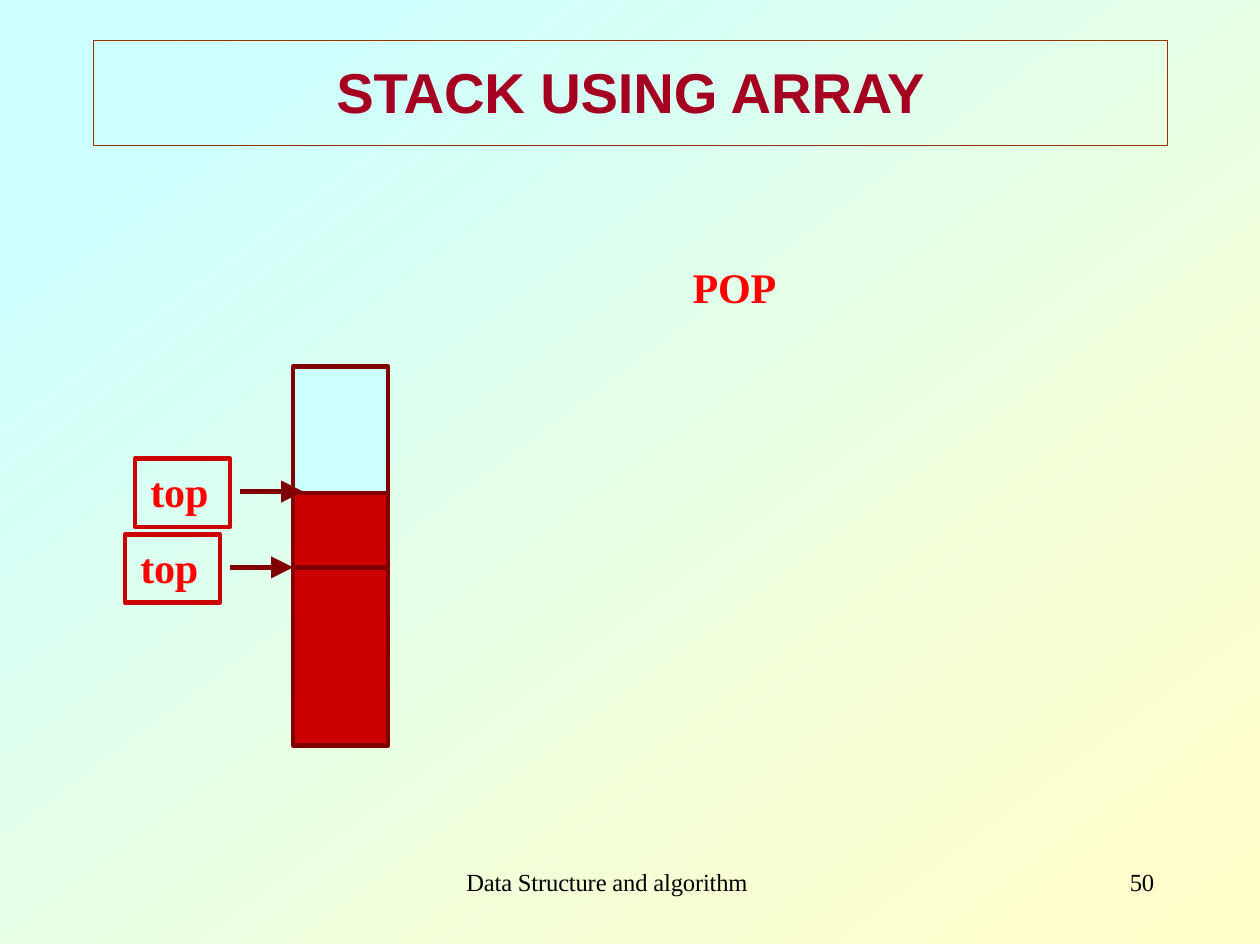
from itertools import pairwise
from math import cos, pi

from lxml.etree import SubElement
from pptx import Presentation
from pptx.dml.color import RGBColor
from pptx.enum.shapes import MSO_CONNECTOR, MSO_SHAPE
from pptx.enum.text import MSO_ANCHOR, PP_ALIGN
from pptx.oxml.ns import qn
from pptx.util import Inches, Pt

WIDTH, HEIGHT = 9.97, 7.47
SERIF = "Times New Roman"
MAROON, RED, BRIGHT_RED = "800000", "CC0000", "FF0000"
STACK_LEFT, CELL_WIDTH = 2.32, 0.75
FULL_TOP, POPPED_TOP = 4.49, 3.9
BAND_STEP = 1 / 25.92


def color(value):
    return RGBColor.from_string(value)


def diagonal(part):
    """Ends of the diagonal line at part 0 (top left) to 2 (bottom right)."""
    if part <= 1:
        return (WIDTH * part, 0), (0, HEIGHT * part)
    return (WIDTH, HEIGHT * (part - 1)), (WIDTH * (part - 1), HEIGHT)


def add_band(page, start, end):
    """One diagonal stripe of the cyan to yellow background."""
    near_start, near_end = diagonal(start)
    far_start, far_end = diagonal(end)
    points = [(Inches(x), Inches(y))
              for x, y in (near_start, far_start, far_end, near_end)]
    builder = page.shapes.build_freeform(*points[0])
    builder.add_line_segments(points[1:], close=True)
    band = builder.convert_to_shape()
    band.shadow.inherit = False
    band.line.fill.background()
    shift = round(51 * (1 - cos(pi * (start + end) / 4)) / 2)
    band.fill.solid()
    band.fill.fore_color.rgb = color(f"{204 + shift:02X}FF{255 - shift:02X}")


def add_background(page):
    edges = [0, *(1 + BAND_STEP * step for step in range(-23, 24)),
             1 + BAND_STEP * 25, 2]
    for start, end in pairwise(edges):
        add_band(page, start, end)


def add_rectangle(page, left, top, width, height, line, fill=None, weight=2.52):
    box = page.shapes.add_shape(MSO_SHAPE.RECTANGLE, Inches(left), Inches(top),
                                Inches(width), Inches(height))
    box.shadow.inherit = False
    box.line.color.rgb = color(line)
    box.line.width = Pt(weight)
    if fill:
        box.fill.solid()
        box.fill.fore_color.rgb = color(fill)
    else:
        box.fill.background()
    return box


def write_text(box, text, size=24, value=BRIGHT_RED, font=SERIF, bold=True,
               align=PP_ALIGN.LEFT, anchor=MSO_ANCHOR.MIDDLE, indent=0):
    frame = box.text_frame
    frame.word_wrap = True
    frame.vertical_anchor = anchor
    frame.margin_left = Inches(indent)
    frame.margin_top = frame.margin_right = 0
    frame.margin_bottom = Inches(0.03)
    para = frame.paragraphs[0]
    para.alignment = align
    span = para.add_run()
    span.text = text
    span.font.name = font
    span.font.size = Pt(size)
    span.font.bold = bold
    span.font.color.rgb = color(value)
    # Slightly tight letter spacing
    box.element.find(".//" + qn("a:rPr")).set("spc", "-10")


def add_label(page, text, left, top, width, height, **text_format):
    box = page.shapes.add_textbox(Inches(left), Inches(top),
                                  Inches(width), Inches(height))
    write_text(box, text, anchor=MSO_ANCHOR.TOP, **text_format)


def add_cell(page, top, height, fill):
    add_rectangle(page, STACK_LEFT, top, CELL_WIDTH, height, MAROON, fill)


def add_pointer(page, left, top):
    """A framed "top" label."""
    box = add_rectangle(page, left, top, 0.75, 0.54, RED)
    write_text(box, "top", indent=0.12)


def add_arrow(page, left, y, length=0.5):
    arrow = page.shapes.add_connector(MSO_CONNECTOR.STRAIGHT, Inches(left),
                                      Inches(y), Inches(left + length), Inches(y))
    arrow.line.color.rgb = color(MAROON)
    arrow.line.width = Pt(2.52)
    properties = arrow.element.spPr
    SubElement(properties.find(qn("a:ln")), qn("a:tailEnd"),
               type="triangle", w="lg", len="lg")
    SubElement(properties, qn("a:effectLst"))


def main():
    deck = Presentation()
    deck.slide_width, deck.slide_height = Inches(WIDTH), Inches(HEIGHT)
    page = deck.slides.add_slide(deck.slide_layouts[6])
    add_background(page)

    # Title
    title = add_rectangle(page, 0.74, 0.32, 8.5, 0.83, "9A3300", weight=0.72)
    write_text(title, "STACK USING ARRAY", size=32, value="A50021",
               font="Arial", align=PP_ALIGN.CENTER)

    # Stack with the old and new top
    add_cell(page, FULL_TOP, 1.41, RED)
    add_cell(page, 2.9, FULL_TOP - 2.9, "CCFFFF")
    add_arrow(page, 1.82, FULL_TOP)
    add_arrow(page, 1.9, 3.89)
    add_cell(page, POPPED_TOP, FULL_TOP - POPPED_TOP, RED)
    add_pointer(page, 0.99, 4.23)
    add_pointer(page, 1.07, 3.63)
    add_label(page, "POP", 5.48, 2.07, 0.69, 0.43)

    # Footer
    footer = {"size": 14, "value": "000000", "bold": False}
    add_label(page, "Data Structure and algorithm", 3.69, 6.86, 2.6, 0.24, **footer)
    add_label(page, "50", 8.94, 6.86, 0.28, 0.24, **footer)

    deck.save("out.pptx")


if __name__ == "__main__":
    main()
